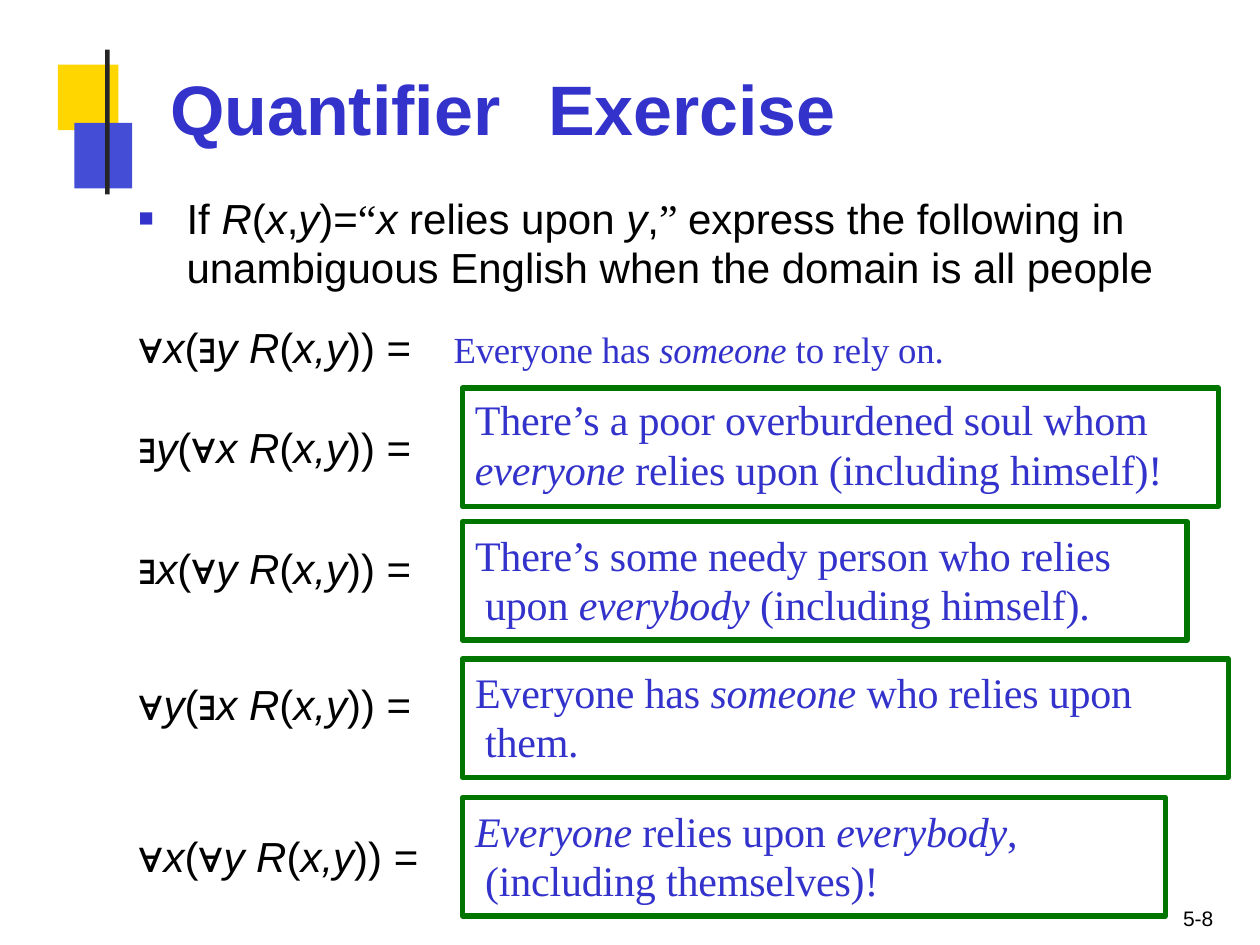
from dataclasses import dataclass

import pptx
import pptx.dml.color
import pptx.enum.shapes
import pptx.enum.text
import pptx.oxml.ns
import pptx.util
from lxml import etree

COLORS = {
    "yellow": "FFD600",
    "blue": "434DD6",
    "bar": "252525",
    "text": "000000",
    "accent": "3333CC",
    "frame": "007600",
}
SANS, SERIF = "Arial", "Times New Roman"

prs = pptx.Presentation()
prs.slide_width = pptx.util.Inches(10)
prs.slide_height = pptx.util.Inches(7.5)
slide = prs.slides.add_slide(prs.slide_layouts[6])


@dataclass
class Area:
    """A rectangle in percent of the slide's width and height."""
    left: float
    top: float
    width: float
    height: float

    def emu(self) -> tuple[int, int, int, int]:
        w, h = prs.slide_width / 100, prs.slide_height / 100
        return (round(self.left * w), round(self.top * h),
                round(self.width * w), round(self.height * h))


@dataclass
class Question:
    quantifiers: tuple[str, str]
    top: float
    answer_top: float
    answer_width: float
    answer: tuple[str, ...]
    hanging: float = 0.08
    inset: float = 0.07
    spacing: float = 28


def rgb(name: str):
    return pptx.dml.color.RGBColor.from_string(COLORS[name])


def add_rect(area: Area, fill: str | None = None, frame: str | None = None):
    s = slide.shapes.add_shape(pptx.enum.shapes.MSO_SHAPE.RECTANGLE, *area.emu())
    s.shadow.inherit = False
    if fill:
        s.fill.solid()
        s.fill.fore_color.rgb = rgb(fill)
    else:
        s.fill.background()
    if frame:
        s.line.color.rgb = rgb(frame)
        s.line.width = pptx.util.Pt(3)
    else:
        s.line.fill.background()
    return s


def prepare_frame(s, inset_top: float = 0.01):
    tf = s.text_frame
    tf.word_wrap = True
    tf.vertical_anchor = pptx.enum.text.MSO_ANCHOR.TOP
    tf.margin_left = tf.margin_right = tf.margin_bottom = 0
    tf.margin_top = pptx.util.Inches(inset_top)
    return tf


def add_text(area: Area, inset_top: float = 0.01):
    return prepare_frame(slide.shapes.add_textbox(*area.emu()), inset_top)


def add_runs(p, text: str, size: float, font: str = SANS, color: str = "text",
             bold: bool = False, tracking: float = 0) -> None:
    """Add runs to p; text between asterisks is italic, tracking is in points."""
    for i, part in enumerate(text.split("*")):
        if part:
            r = p.add_run()
            r.text = part
            r.font.size = pptx.util.Pt(size)
            r.font.name = font
            r.font.color.rgb = rgb(color)
            r.font.bold = bold
            r.font.italic = i % 2 == 1
            if tracking:
                r._r.get_or_add_rPr().set("spc", str(round(tracking * 100)))


def add_answer(p, text: str, size: float) -> None:
    add_runs(p, text, size, SERIF, "accent", tracking=-0.1)


def set_indent(p, left: float, first: float) -> None:
    p.alignment = pptx.enum.text.PP_ALIGN.LEFT
    pPr = p._p.get_or_add_pPr()
    pPr.set("marL", str(pptx.util.Inches(left)))
    pPr.set("indent", str(pptx.util.Inches(first)))


def add_child(parent, tag: str, **attrs: str):
    return etree.SubElement(parent, pptx.oxml.ns.qn(tag), **attrs)


def add_tab(p, position: float) -> None:
    tabs = add_child(p._p.get_or_add_pPr(), "a:tabLst")
    add_child(tabs, "a:tab", pos=str(pptx.util.Inches(position)), algn="l")


def add_square_bullet(p, color: str) -> None:
    pPr = p._p.get_or_add_pPr()
    add_child(add_child(pPr, "a:buClr"), "a:srgbClr", val=COLORS[color])
    add_child(pPr, "a:buSzPct", val="60000")
    add_child(pPr, "a:buFont", typeface=SANS)
    add_child(pPr, "a:buChar", char="■")


def formula(quantifiers: tuple[str, str]) -> str:
    (outer, a), (inner, b) = quantifiers
    return f"{outer}*{a}*({inner}*{b} R*(*x,y*)) ="


def add_question(q: Question) -> None:
    tf = add_text(Area(10.9, q.top, 23.5, 5.73))
    set_indent(tf.paragraphs[0], 0.01, 0)
    add_runs(tf.paragraphs[0], formula(q.quantifiers), 24)

    s = add_rect(Area(36.7, q.answer_top, q.answer_width, 12.53), frame="frame")
    tf = prepare_frame(s, q.inset)
    for i, line in enumerate(q.answer):
        p = tf.add_paragraph() if i else tf.paragraphs[0]
        set_indent(p, 0.1 + q.hanging, -q.hanging)
        p.line_spacing = pptx.util.Pt(q.spacing)
        add_answer(p, line, 24)


QUESTIONS = [
    Question(("∃y", "∀x"), 44.5, 41.07, 60,
             ("There’s a poor overburdened soul whom",
              "*everyone* relies upon (including himself)!"),
             hanging=0, inset=0.05, spacing=28.4),
    Question(("∃x", "∀y"), 57.3, 55.2, 57.5,
             ("There’s some needy person who relies upon *everybody* (including himself).",)),
    Question(("∀y", "∃x"), 71.7, 69.73, 60.8,
             ("Everyone has *someone* who relies upon them.",)),
    Question(("∀x", "∀y"), 87.73, 84.4, 55.8,
             ("*Everyone* relies upon *everybody*, (including themselves)!",)),
]

# Corner ornament
add_rect(Area(4.6, 6.85, 4.8, 6.93), "yellow")
add_rect(Area(5.9, 13, 4.6, 6.93), "blue")
add_rect(Area(8.35, 5.25, 0.35, 15.33), "bar")

# Title and page number
p = add_text(Area(13.4, 6.8, 60, 9.2)).paragraphs[0]
set_indent(p, 0.01, 0)
add_tab(p, 2.79)
add_runs(p, "Quantifier\tExercise", 40, color="accent", bold=True)

p = add_text(Area(93.8, 95.87, 3, 2.8), 0).paragraphs[0]
set_indent(p, 0.01, 0)
p.line_spacing = pptx.util.Pt(14.2)
add_runs(p, "5-8", 12)

# Task and worked example
tf = add_text(Area(10.9, 20, 81.2, 17.33), 0.04)
p = tf.paragraphs[0]
set_indent(p, 0.39, -0.38)
p.line_spacing = pptx.util.Pt(28)
add_square_bullet(p, "accent")
add_runs(p, "If *R*(*x*,*y*)=", 24)
add_runs(p, "“", 24, SERIF)
add_runs(p, "*x* relies upon *y*,", 24)
add_runs(p, "” ", 24, SERIF)
add_runs(p, "express the following in unambiguous English when the domain is all people", 24)

p = tf.add_paragraph()
set_indent(p, 0.01, 0)
p.space_before = pptx.util.Pt(16.7)
add_tab(p, 2.68)
add_runs(p, formula(("∀x", "∃y")), 24)
add_runs(p, "\t", 24)
add_answer(p, "Everyone has *someone* to rely on.", 21)
p._p.pPr.find(pptx.oxml.ns.qn("a:tabLst"))[0].set("pos", str(pptx.util.Inches(2.86)))

for question in QUESTIONS:
    add_question(question)

prs.save("out.pptx")
